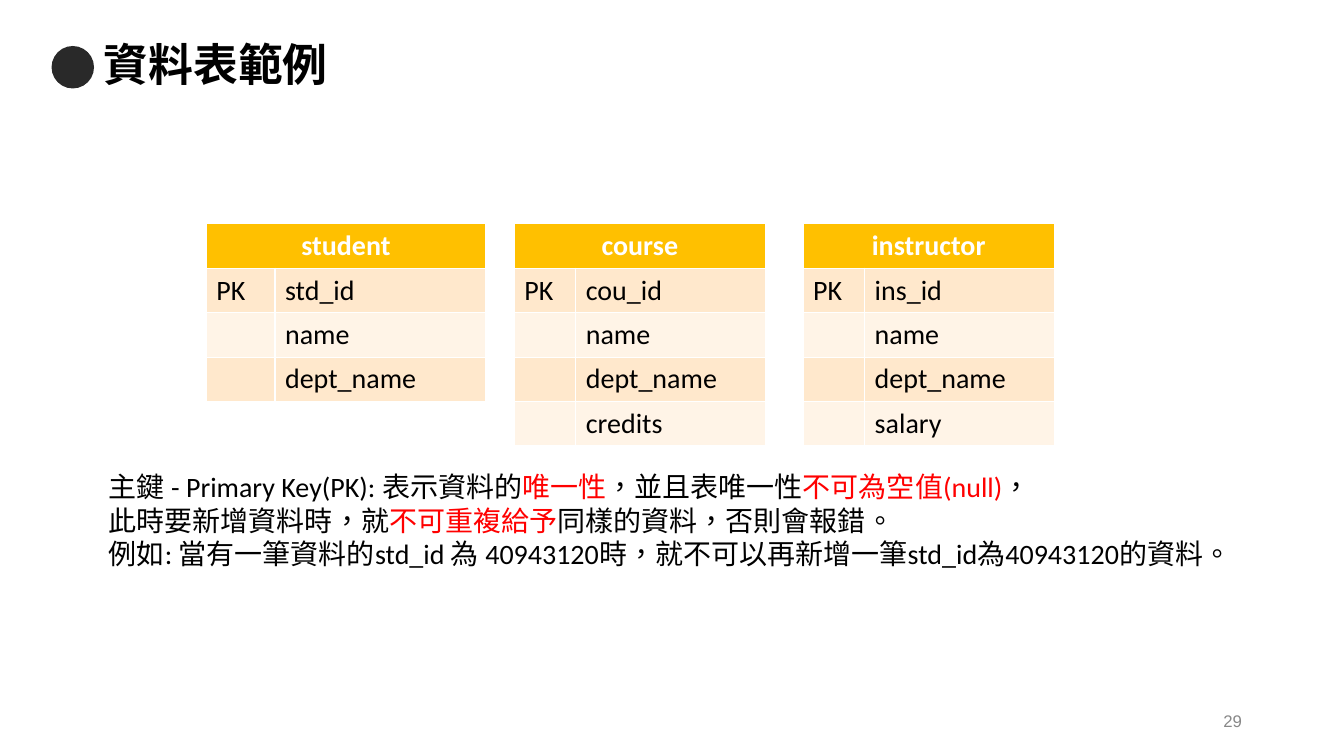
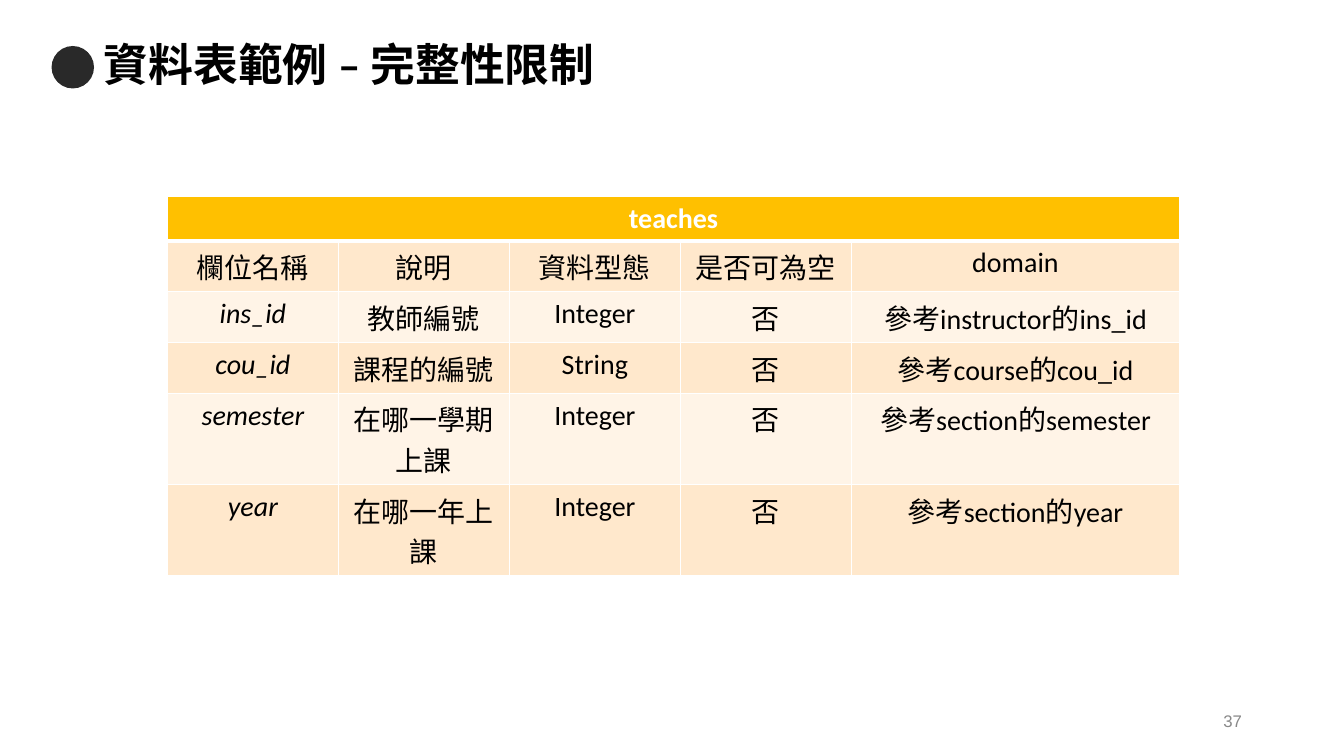
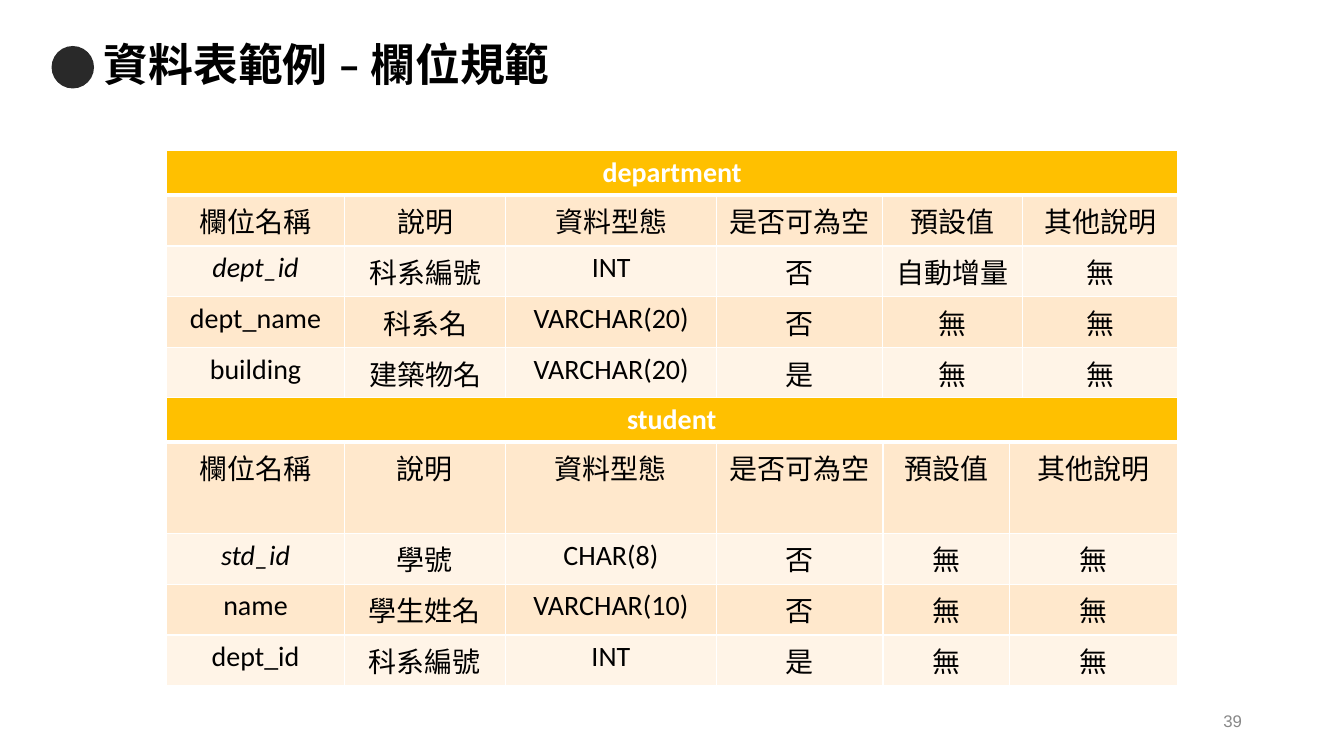
from dataclasses import dataclass

from lxml import etree
from pptx import Presentation
from pptx import util as u
from pptx.dml.color import RGBColor
from pptx.enum import shapes, text
from pptx.oxml.ns import qn


@dataclass(frozen=True)
class Theme:
    """Colours, fonts, type sizes and row heights of the deck."""
    ink: str = "000000"
    white: str = "FFFFFF"
    red: str = "FF0000"
    grey: str = "888888"
    dot: str = "292929"
    header: str = "FFC000"
    bands: tuple = ("FFE8CC", "FFF4E7")
    font: str = "Calibri"
    number_font: str = "Arial"
    lang: str = "zh-TW"
    title: int = 32
    body: int = 20
    number: int = 12
    latin_row: float = 1.12
    cjk_row: float = 1.28
    wrapped_row: float = 2.3


T = Theme()
FIELDS = ("欄位名稱", "說明", "資料型態", "是否可為空", "預設值", "其他說明")


def rgb(code):
    """Turn a hex code into a colour."""
    return RGBColor.from_string(code)


def add_run(p, content, size=T.body, color=T.ink, font=T.font, bold=False,
            italic=False, cjk=None):
    """Append formatted text to a paragraph, with an optional East Asian font."""
    r = p.add_run()
    r.text = content
    f = r.font
    f.size, f.name, f.bold, f.italic = u.Pt(size), font, bold, italic
    f.color.rgb = rgb(color)
    props = r._r.get_or_add_rPr()
    props.set("lang", T.lang)
    if cjk:
        ea = etree.Element(qn("a:ea"), typeface=cjk)
        props.find(qn("a:latin")).addnext(ea)


def place(sp, x, y, w, h):
    """Move and size a shape in centimetres."""
    sp.left, sp.top, sp.width, sp.height = map(u.Cm, (x, y, w, h))


def add_slide(prs, title, number):
    """Add a slide with its dot, title and page number."""
    s = prs.slides.add_slide(prs.slide_layouts[5])
    dot = s.shapes.add_shape(shapes.MSO_SHAPE.OVAL, *map(u.Cm, (1.3, 1.16, 1.07, 1.07)))
    dot.shadow.inherit = False
    dot.fill.solid()
    dot.fill.fore_color.rgb = rgb(T.dot)
    dot.line.fill.background()

    place(s.shapes.title, 2.36, 0.88, 29.18, 1.63)
    tf = s.shapes.title.text_frame
    tf.vertical_anchor = text.MSO_ANCHOR.MIDDLE
    tf.auto_size = text.MSO_AUTO_SIZE.NONE
    p = tf.paragraphs[0]
    p.alignment, p.line_spacing = text.PP_ALIGN.LEFT, 0.9
    add_run(p, title, size=T.title, bold=True, cjk=T.font)

    tf = s.shapes.add_textbox(*map(u.Cm, (23.93, 17.65, 7.62, 1.02))).text_frame
    tf.word_wrap = True
    tf.vertical_anchor = text.MSO_ANCHOR.MIDDLE
    p = tf.paragraphs[0]
    p.alignment = text.PP_ALIGN.RIGHT
    add_run(p, str(number), size=T.number, color=T.grey, font=T.number_font)
    return s


def add_text(s, x, y, w, h, paragraphs):
    """Add a text box from paragraphs of (text, colour) pairs."""
    tf = s.shapes.add_textbox(*map(u.Cm, (x, y, w, h))).text_frame
    tf.word_wrap = True
    for i, parts in enumerate(paragraphs):
        p = tf.add_paragraph() if i else tf.paragraphs[0]
        for content, color in parts:
            add_run(p, content, color=color, cjk=T.font)


def style_cell(cell, fill, top=1, bottom=1):
    """Give a cell white borders and a solid fill."""
    tc_pr = cell._tc.get_or_add_tcPr()
    for side, width in (("L", 1), ("R", 1), ("T", top), ("B", bottom)):
        ln = etree.SubElement(tc_pr, qn(f"a:ln{side}"), w=str(u.Pt(width)))
        solid = etree.SubElement(ln, qn("a:solidFill"))
        etree.SubElement(solid, qn("a:srgbClr"), val=T.white)
    cell.fill.solid()
    cell.fill.fore_color.rgb = rgb(fill)


def add_schema(s, x, y, cols, name, rows, keys=(), centered=True, rule=3,
               row_height=T.cjk_row, tall=()):
    """Add a banded table under a name row, with italic keys and tall body rows."""
    heights = [T.latin_row]
    heights += [T.wrapped_row if i in tall else row_height for i in range(len(rows))]
    size = map(u.Cm, (x, y, sum(cols), sum(heights)))
    tbl = s.shapes.add_table(len(heights), len(cols), *size).table
    tbl.horz_banding = False
    for col, w in zip(tbl.columns, cols):
        col.width = u.Cm(w)
    for row, h in zip(tbl.rows, heights):
        row.height = u.Cm(h)

    for cell in tbl.rows[0].cells:
        style_cell(cell, T.header, bottom=rule)
    head = tbl.cell(0, 0)
    head.merge(tbl.cell(0, len(cols) - 1))
    p = head.text_frame.paragraphs[0]
    p.alignment = text.PP_ALIGN.CENTER
    add_run(p, name, color=T.white, bold=True)

    for i, values in enumerate(rows):
        for j, value in enumerate(values):
            cell = tbl.cell(i + 1, j)
            style_cell(cell, T.bands[i % 2], top=1 if i else rule)
            p = cell.text_frame.paragraphs[0]
            if centered:
                p.alignment = text.PP_ALIGN.CENTER
            if value:
                add_run(p, value, italic=value in keys)


def primary_key_slide(prs):
    """Build the slide on primary keys."""
    s = add_slide(prs, "資料表範例", 29)
    narrow = (1.55, 4.78)
    for x, cols, name, fields in (
        (5.2, (1.73, 5.31), "student", ("std_id", "name", "dept_name")),
        (12.96, narrow, "course", ("cou_id", "name", "dept_name", "credits")),
        (20.24, narrow, "instructor", ("ins_id", "name", "dept_name", "salary")),
    ):
        rows = [("" if i else "PK", field) for i, field in enumerate(fields)]
        add_schema(s, x, 5.64, cols, name, rows, centered=False, rule=1,
                   row_height=T.latin_row)
    add_text(s, 2.49, 11.71, 29.06, 2.82, (
        (("主鍵 - Primary Key(PK): 表示資料的", T.ink), ("唯一性", T.red),
         ("，並且表唯一性", T.ink), ("不可為空值(null)", T.red), ("，", T.ink)),
        (("此時要新增資料時，就", T.ink), ("不可重複給予", T.red),
         ("同樣的資料，否則會報錯。", T.ink)),
        (("例如: 當有一筆資料的std_id 為 40943120時，"
          "就不可以再新增一筆std_id為40943120的資料。", T.ink),),
    ))


def integrity_slide(prs):
    """Build the slide on integrity constraints."""
    s = add_slide(prs, "資料表範例 – 完整性限制", 37)
    add_schema(s, 4.22, 4.95, (4.31,) * 4 + (8.27,), "teaches", (
        FIELDS[:4] + ("domain",),
        ("ins_id", "教師編號", "Integer", "否", "參考instructor的ins_id"),
        ("cou_id", "課程的編號", "String", "否", "參考course的cou_id"),
        ("semester", "在哪一學期上課", "Integer", "否", "參考section的semester"),
        ("year", "在哪一年上課", "Integer", "否", "參考section的year"),
    ), keys=("ins_id", "cou_id", "semester", "year"), tall=(3, 4))


def field_rules_slide(prs):
    """Build the slide on field rules."""
    s = add_slide(prs, "資料表範例 – 欄位規範", 39)
    add_schema(s, 4.19, 3.8, (4.5, 4.06, 5.31, 4.19, 3.53, 3.91), "department", (
        FIELDS,
        ("dept_id", "科系編號", "INT", "否", "自動增量", "無"),
        ("dept_name", "科系名", "VARCHAR(20)", "否", "無", "無"),
        ("building", "建築物名", "VARCHAR(20)", "是", "無", "無"),
    ), keys=("dept_id",))
    add_schema(s, 4.19, 10.02, (4.5, 4.04, 5.33, 4.19, 3.2, 4.22), "student", (
        FIELDS,
        ("std_id", "學號", "CHAR(8)", "否", "無", "無"),
        ("name", "學生姓名", "VARCHAR(10)", "否", "無", "無"),
        ("dept_id", "科系編號", "INT", "是", "無", "無"),
    ), keys=("std_id",), tall=(0,))


def main():
    """Build and save the deck."""
    prs = Presentation()
    prs.slide_width, prs.slide_height = u.Cm(33.87), u.Cm(19.05)
    primary_key_slide(prs)
    integrity_slide(prs)
    field_rules_slide(prs)
    prs.save("out.pptx")


if __name__ == "__main__":
    main()
